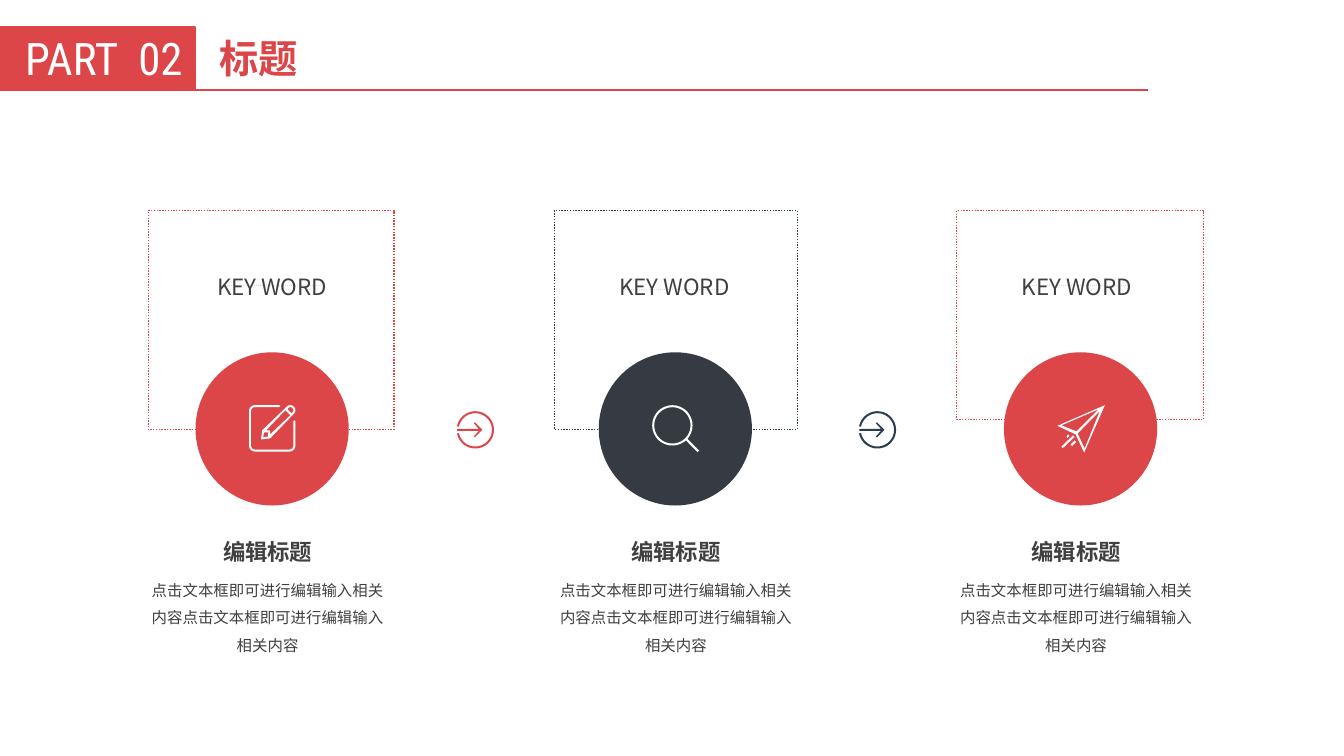
from dataclasses import dataclass
from math import cos, radians, sin

from lxml.etree import SubElement
from pptx import Presentation
from pptx.dml.color import RGBColor
from pptx.enum.dml import MSO_LINE
from pptx.enum.shapes import MSO_CONNECTOR, MSO_SHAPE
from pptx.enum.text import MSO_ANCHOR, MSO_AUTO_SIZE, PP_ALIGN
from pptx.oxml.ns import qn
from pptx.util import Inches, Pt

WIDTH, HEIGHT = Inches(13.33), Inches(7.5)
COLOURS = {"red": "DC4649", "navy": "2B3D4E", "slate": "353A43",
           "text": "404040", "pale": "DCDEE0", "white": "FFFFFF"}
BODY_FONT = "Noto Sans CJK SC"
KEYWORD = "KEY WORD"
HEADING = "编辑标题"
DESCRIPTION = "点击文本框即可进行编辑输入相关" "内容点击文本框即可进行编辑输入相关内容"


@dataclass
class Step:
    """Placement in percent of the slide, colours and icon of one step."""
    frame: tuple
    rule: tuple
    keyword_left: float
    circle_left: float
    text_left: float
    line_colour: str
    circle_colour: str
    icon: list


def place(left, top, width, height):
    """Turn percentages of the slide into lengths."""
    return (int(WIDTH * left / 100), int(HEIGHT * top / 100),
            int(WIDTH * width / 100), int(HEIGHT * height / 100))


def colour(name):
    """Look up a named colour."""
    return RGBColor.from_string(COLOURS[name])


def arc(x, y, radius, start, end):
    """List points along a circular arc, in degrees."""
    count = max(6, abs(end - start) // 6)
    angles = [radians(start + (end - start) * i / count) for i in range(count + 1)]
    return [(x + radius * cos(a), y + radius * sin(a)) for a in angles]


def arrow_icon():
    """Outline an arrow that enters an open ring."""
    ring = arc(18.5, 18.5, 18.5, 191, 529) + arc(18.5, 18.5, 16.5, 529, 191)
    arrow = [(0.5, 17.5), (22, 17.5), (17, 12), (18, 11), (25.5, 18.5),
             (18, 26), (17, 25), (22, 19.5), (0.5, 19.5)]
    return [ring, arrow]


def pencil_icon():
    """Outline a pencil on an open rounded square."""
    square = [(45, 15), (44, 16), *arc(40, 40, 4, 0, 90), *arc(6, 40, 4, 90, 180),
              *arc(6, 6, 4, 180, 270), (30, 2), (31, 1), (30, 0),
              *arc(6, 6, 6, 270, 180), *arc(6, 40, 6, 180, 90),
              *arc(40, 40, 6, 90, 0), (46, 16)]
    pencil = [(12, 34), (21, 33), *arc(41, 5, 5, 45, -135), (13, 25)]
    tip = [(15, 27), (19, 27), (19, 31), (14, 32)]
    barrel = [(36, 5), (41, 10), (21, 29), (21, 25), (17, 25)]
    cap = [*arc(41, 5, 3, 225, 405), (42, 8), (38, 4)]
    return [square, pencil, tip, barrel, cap]


def magnifier_icon():
    """Outline a lens with a handle."""
    return [arc(20, 20, 20, 48, 402) + [(46.5, 45), (45, 46.5)],
            arc(20, 20, 18, 0, 360)]


def plane_icon():
    """Outline a paper plane with three streaks."""
    return [[(47, 0), (0, 20.5), (18, 29), (26.5, 47)],
            [(27, 43), (20, 28), (42, 6)],
            [(4, 20), (41, 4), (19, 26)],
            [(13, 39), (17, 35), (18.5, 36.5), (14.5, 40.5)],
            [(4, 41), (15.5, 30), (17, 31.5), (5.5, 42.5)],
            [(9, 31), (10.5, 29), (12, 30.5), (10, 32.5)]]


def add_icon(slide, left, top, outlines, fill):
    """Draw outlines, given in hundredths of an inch, as one filled shape."""
    builder = None
    for outline in outlines:
        points = [(x * 10, y * 10) for x, y in outline]
        if builder is None:
            builder = slide.shapes.build_freeform(*points[0], scale=914.4)
        else:
            builder.move_to(*points[0])
        builder.add_line_segments(points[1:], close=True)
    shape = builder.convert_to_shape(*place(left, top, 0, 0)[:2])
    style(shape, fill)


def style(shape, fill=None, line=None, line_width=1, dash=None):
    """Set the fill and line of a shape and drop its shadow."""
    shape.shadow.inherit = False
    if fill:
        shape.fill.solid()
        shape.fill.fore_color.rgb = colour(fill)
    else:
        shape.fill.background()
    if line:
        shape.line.color.rgb = colour(line)
        shape.line.width = Pt(line_width)
        shape.line.dash_style = dash
    else:
        shape.line.fill.background()


def add_preset(slide, kind, box, **look):
    """Add a preset shape."""
    shape = slide.shapes.add_shape(kind, *place(*box))
    style(shape, **look)


def add_rule(slide, left, top, width, line, line_width, dash=None):
    """Add a horizontal line."""
    x, y, length, _ = place(left, top, width, 0)
    rule = slide.shapes.add_connector(MSO_CONNECTOR.STRAIGHT, x, y, x + length, y)
    rule.line.color.rgb = colour(line)
    rule.line.width = Pt(line_width)
    rule.line.dash_style = dash
    SubElement(rule._element.spPr, qn("a:effectLst"))


def add_run(paragraph, text, size, name, font=BODY_FONT, bold=False):
    """Append one formatted run."""
    run = paragraph.add_run()
    run.text = text
    run.font.size = Pt(size)
    run.font.bold = bold
    run.font.name = font
    run.font.color.rgb = colour(name)
    SubElement(run._r.get_or_add_rPr(), qn("a:ea"), typeface=BODY_FONT)
    return run


def add_centred_text(slide, box, text, size, bold=False):
    """Add a centred text box with wide line spacing."""
    text_frame = slide.shapes.add_textbox(*place(*box)).text_frame
    text_frame.word_wrap = True
    paragraph = text_frame.paragraphs[0]
    paragraph.alignment = PP_ALIGN.CENTER
    paragraph.line_spacing = 1.5
    add_run(paragraph, text, size, "text", bold=bold)
    return text_frame


def add_header(slide):
    """Build the part banner, the title and the line below."""
    add_preset(slide, MSO_SHAPE.RECTANGLE, (0, 3.6, 14.48, 8.27),
               fill="red", line="red", line_width=1.5)
    part = slide.shapes.add_textbox(*place(1.13, 3.47, 19.35, 8.53)).text_frame
    part.word_wrap = True
    for text in ("PART", " ", "02"):
        run = add_run(part.paragraphs[0], text, 32, "white", "Roboto Condensed")
        if text == " ":
            run._r.get_or_add_rPr().set("spc", "700")
    title = slide.shapes.title
    title.left, title.top, title.width, title.height = place(15.6, 3.87, 9.68, 7.6)
    title.text_frame.vertical_anchor = MSO_ANCHOR.TOP
    title.text_frame.auto_size = MSO_AUTO_SIZE.SHAPE_TO_FIT_TEXT
    paragraph = title.text_frame.paragraphs[0]
    paragraph.alignment = PP_ALIGN.LEFT
    add_run(paragraph, "标题", 28, "red", "Arial", bold=True)
    add_rule(slide, 14.03, 11.87, 71.4, "red", 1.5)


def add_step(slide, step):
    """Build one framed keyword with its circle, icon and texts."""
    add_preset(slide, MSO_SHAPE.RECTANGLE, step.frame,
               line=step.line_colour, dash=MSO_LINE.ROUND_DOT)
    add_rule(slide, *step.rule, 7.35, "pale", 0.75, MSO_LINE.ROUND_DOT)
    keyword = add_centred_text(slide, (step.keyword_left, 34.13, 12.15, 5.73), KEYWORD, 16)
    keyword.margin_left = keyword.margin_right = 0
    keyword.vertical_anchor = MSO_ANCHOR.MIDDLE
    keyword.paragraphs[0].space_before = Pt(10)
    add_preset(slide, MSO_SHAPE.OVAL, (step.circle_left, 46.6, 11.4, 20.27),
               fill=step.circle_colour)
    add_icon(slide, step.circle_left + 3.98, 53.6, step.icon, "white")
    add_centred_text(slide, (step.text_left + 3.38, 68.8, 12.08, 6.13), HEADING, 16, True)
    add_centred_text(slide, (step.text_left, 74.93, 18.83, 12.67), DESCRIPTION, 11)


def main():
    """Build and save the slide."""
    presentation = Presentation()
    presentation.slide_width, presentation.slide_height = WIDTH, HEIGHT
    slide = presentation.slides.add_slide(presentation.slide_layouts[5])
    add_header(slide)
    steps = [
        Step((11.03, 27.87, 18.3, 28.93), (16.58, 37.73), 14.18, 14.55, 10.5,
             "red", "red", pencil_icon()),
        Step((41.25, 27.87, 18.08, 28.93), (46.5, 38.27), 44.11, 44.55, 40.88,
             "navy", "slate", magnifier_icon()),
        Step((71.18, 27.87, 18.38, 27.6), (76.65, 37.73), 74.04, 74.7, 70.65,
             "red", "red", plane_icon())]
    for step in steps:
        add_step(slide, step)
    for left, name in ((33.98, "red"), (63.9, "navy")):
        add_icon(slide, left, 54.4, arrow_icon(), name)
    presentation.save("out.pptx")


if __name__ == "__main__":
    main()
